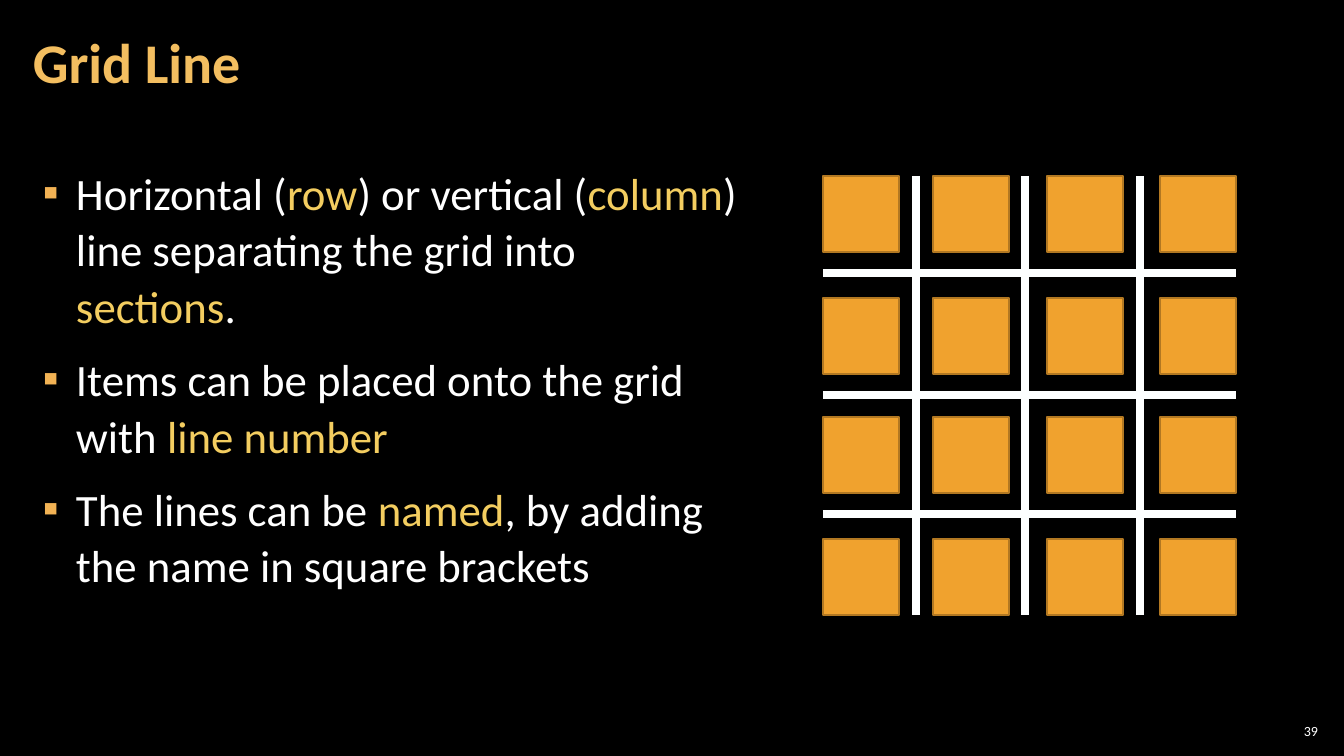
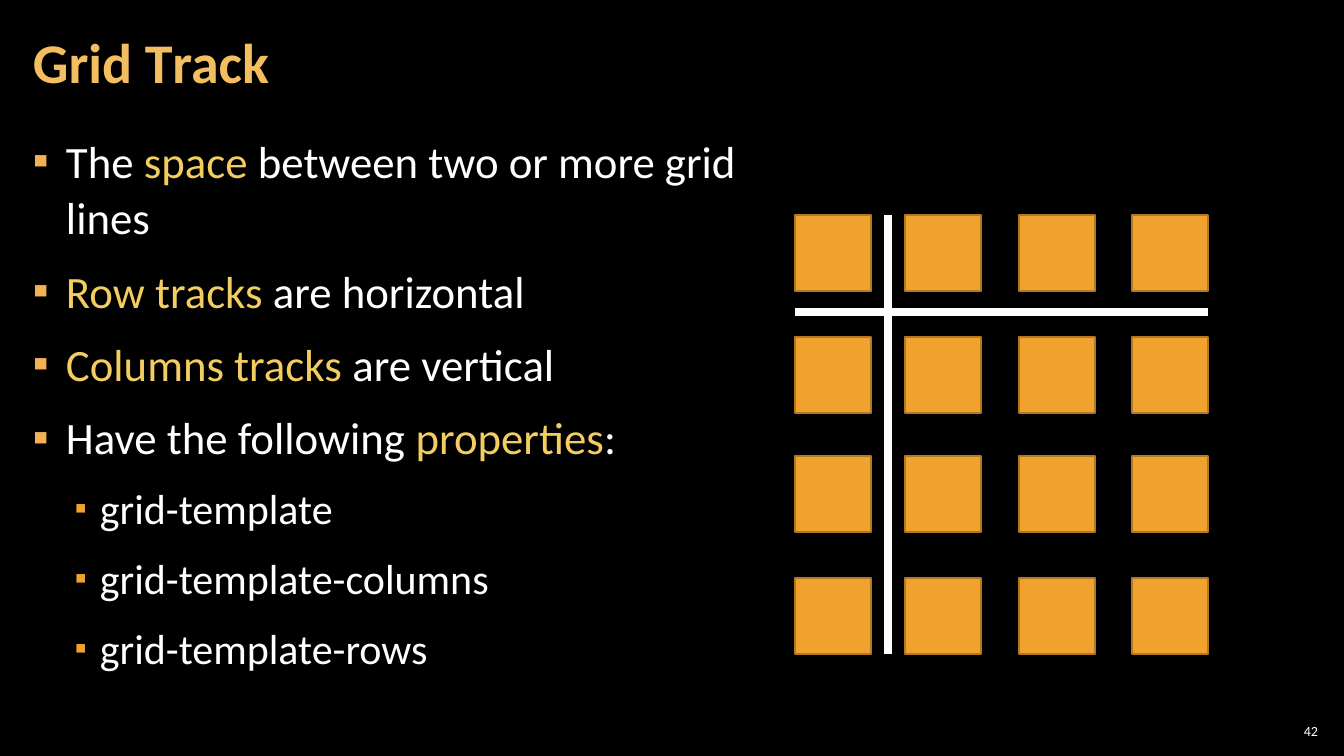
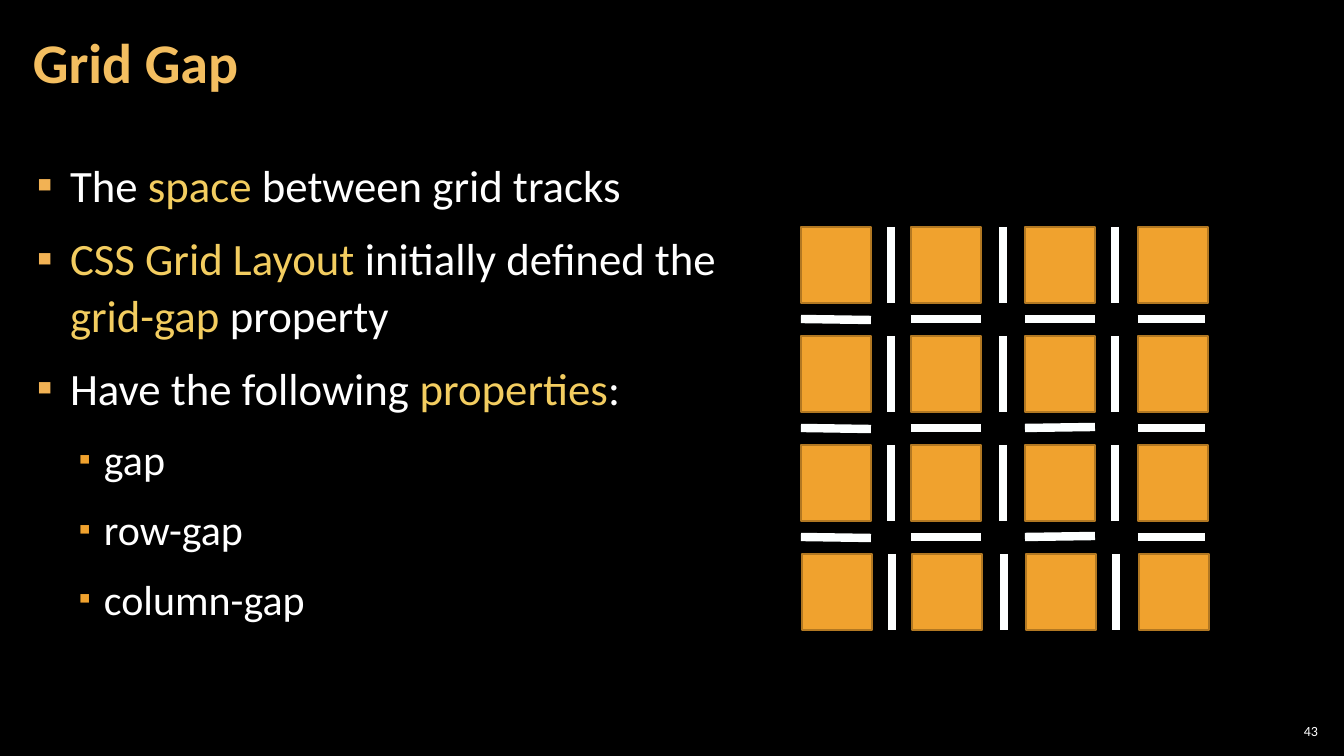
import pptx
import pptx.util
import pptx.dml.color
import pptx.enum.shapes
import pptx.enum.text
import pptx.oxml.ns
from lxml import etree

ANCHOR = pptx.enum.text.MSO_ANCHOR
ALIGN = pptx.enum.text.PP_ALIGN
Pt = pptx.util.Pt

# Shared look
SLIDE_W, SLIDE_H = 1344, 756
FONT = "Calibri"
BLACK, WHITE, LINE = "000000", "FFFFFF", "FDFFFF"
TITLE, ACCENT = "F3BE60", "F3CD60"
CELL, CELL_EDGE = "F0A22E", "B27822"
# Per level: left margin, hanging indent, bullet colour, bullet size %, text size
LEVELS = [(33, 33, "F2B254", 100, 32), (67, 25, "F0A22E", 80, 30)]

# Grid drawing, offsets from its top left corner
COLUMNS = [0, 110, 224, 337]
ROWS = [0, 122, 241, 363]
LINE_XS = [93, 202, 317]
LINE_YS = [97, 219, 338]
CELL_SIZE = 76
GRID_W, GRID_H = COLUMNS[-1] + CELL_SIZE, ROWS[-1] + CELL_SIZE


def px(n):
    return pptx.util.Emu(round(n * 12192000 / SLIDE_W))


def rgb(color):
    return pptx.dml.color.RGBColor.from_string(color)


def add_run(p, text, size, color, bold=False):
    r = p.add_run()
    r.text = text
    r.font.name = FONT
    r.font.size = Pt(size)
    r.font.bold = bold
    r.font.color.rgb = rgb(color)


def text_frame(s, box, inset_x, anchor):
    tf = s.shapes.add_textbox(*map(px, box)).text_frame
    tf.word_wrap = True
    tf.vertical_anchor = anchor
    tf.margin_left = tf.margin_right = px(inset_x)
    tf.margin_top = tf.margin_bottom = px(4)
    return tf


def set_bullet(p, level):
    margin, hang, color, percent, _ = LEVELS[level]
    pPr = p._p.get_or_add_pPr()
    pPr.set("lvl", str(level))
    pPr.set("marL", str(px(margin)))
    pPr.set("indent", str(-px(hang)))
    qn = pptx.oxml.ns.qn
    bu_color = etree.SubElement(pPr, qn("a:buClr"))
    etree.SubElement(bu_color, qn("a:srgbClr"), val=color)
    etree.SubElement(pPr, qn("a:buSzPct"), val=str(percent * 1000))
    etree.SubElement(pPr, qn("a:buFont"), typeface=FONT)
    etree.SubElement(pPr, qn("a:buChar"), char="▪")


def add_title(s, box, text):
    p = text_frame(s, box, 12, ANCHOR.MIDDLE).paragraphs[0]
    p.line_spacing = 0.9
    add_run(p, text, 40, TITLE, bold=True)


def add_number(s, box, number):
    p = text_frame(s, box, 4, ANCHOR.MIDDLE).paragraphs[0]
    p.alignment = ALIGN.RIGHT
    add_run(p, str(number), 10, WHITE)


def add_bullets(s, box, items):
    """Items are (level, text); text between bars is highlighted."""
    tf = text_frame(s, box, 12, ANCHOR.TOP)
    for i, (level, text) in enumerate(items):
        p = tf.add_paragraph() if i else tf.paragraphs[0]
        set_bullet(p, level)
        p.line_spacing = 1.05
        p.space_before = Pt(6 if i else 0)
        p.space_after = Pt(6)
        for j, part in enumerate(text.split("|")):
            if part:
                add_run(p, part, LEVELS[level][4], ACCENT if j % 2 else WHITE)


def add_cell(s, x, y, w, h):
    sp = s.shapes.add_shape(pptx.enum.shapes.MSO_SHAPE.RECTANGLE,
                            px(x), px(y), px(w), px(h))
    sp.shadow.inherit = False
    sp.fill.solid()
    sp.fill.fore_color.rgb = rgb(CELL)
    sp.line.color.rgb = rgb(CELL_EDGE)
    sp.line.width = Pt(1)


def add_line(s, x1, y1, x2, y2):
    c = s.shapes.add_connector(pptx.enum.shapes.MSO_CONNECTOR.STRAIGHT,
                               px(x1), px(y1), px(x2), px(y2))
    c.line.color.rgb = rgb(LINE)
    c.line.width = Pt(6)
    etree.SubElement(c._element.spPr, pptx.oxml.ns.qn("a:effectLst"))


def add_line_grid(s, left, top, line_xs, line_ys):
    """Square cells with lines running across the whole grid."""
    for y in ROWS:
        for x in COLUMNS:
            add_cell(s, left + x, top + y, CELL_SIZE, CELL_SIZE)
    for x in line_xs:
        add_line(s, left + x, top, left + x, top + GRID_H)
    for y in line_ys:
        add_line(s, left, top + y, left + GRID_W, top + y)


def add_gap_grid(s, left, top):
    """Cells with a short bar in every gap."""
    cell_w, pitch_y = 70, 109
    bar_widths = [70, 70, 70, 67]
    # Drop of each bar from left to right, by row and column
    drops = [[1, 0, 0, 0], [1, 0, -1, 0], [1, 0, -1, 0]]
    for row in range(4):
        x0 = left + (1 if row == 3 else 0)
        y0 = top + row * pitch_y
        for x in COLUMNS:
            add_cell(s, x0 + x, y0, cell_w, CELL_SIZE)
        for col in range(3):
            x = x0 + 90 + 112 * col
            add_line(s, x, y0, x, y0 + CELL_SIZE)
    for row, row_drops in enumerate(drops):
        y = top + 92 + row * pitch_y
        for x, w, drop in zip(COLUMNS, bar_widths, row_drops):
            add_line(s, left + x, y, left + x + w, y + drop)


def add_slide(prs, title, number, body_box, items):
    s = prs.slides.add_slide(prs.slide_layouts[6])
    s.background.fill.solid()
    s.background.fill.fore_color.rgb = rgb(BLACK)
    add_number(s, (1275, 720, 47, 21), number)
    add_bullets(s, body_box, items)
    add_title(s, (21, 4, 1055, 122), title)
    return s


def main():
    prs = pptx.Presentation()
    prs.slide_width, prs.slide_height = px(SLIDE_W), px(SLIDE_H)

    # Grid lines
    s = add_slide(prs, "Grid Line", 39, (31, 159, 720, 559), [
        (0, "Horizontal (|row|) or vertical (|column|) line separating "
            "the grid into |sections|."),
        (0, "Items can be placed onto the grid with |line number"),
        (0, "The lines can be |named|, by adding the name in square brackets"),
    ])
    add_line_grid(s, 823, 176, LINE_XS, LINE_YS)

    # Grid tracks
    s = add_slide(prs, "Grid Тrack", 42, (21, 127, 777, 614), [
        (0, "The| space |between two or more grid lines"),
        (0, "|Row tracks |are horizontal"),
        (0, "|Columns tracks |are vertical"),
        (0, "Have the following |properties|:"),
        (1, "grid-template"),
        (1, "grid-template-columns"),
        (1, "grid-template-rows"),
    ])
    add_line_grid(s, 795, 215, LINE_XS[:1], LINE_YS[:1])

    # Grid gaps
    s = add_slide(prs, "Grid Gap", 43, (25, 151, 752, 553), [
        (0, "The| space |between grid tracks"),
        (0, "|CSS Grid Layout |initially defined the |grid-gap| property"),
        (0, "Have the following |properties|:"),
        (1, "gap"),
        (1, "row-gap"),
        (1, "column-gap"),
    ])
    add_gap_grid(s, 801, 227)

    prs.save("out.pptx")


if __name__ == "__main__":
    main()
